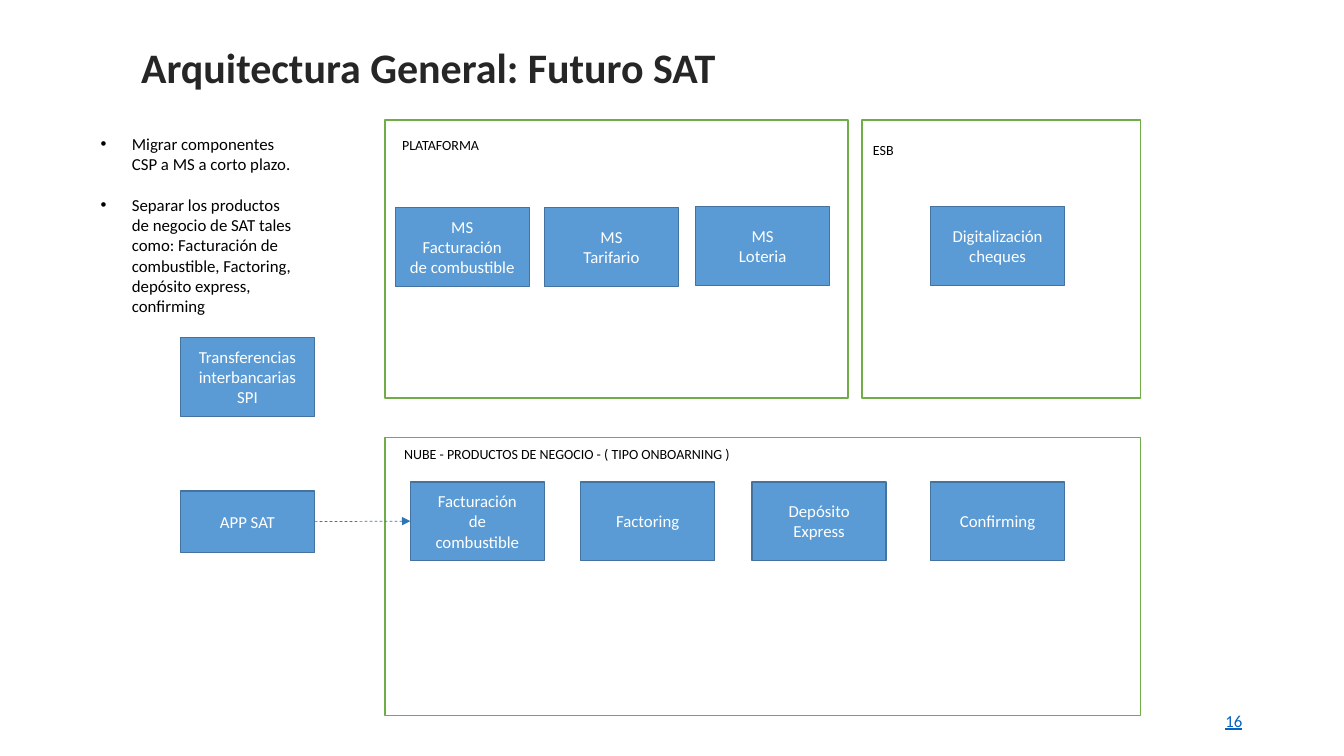
from dataclasses import dataclass

from lxml import etree
from pptx import Presentation
from pptx.dml.color import RGBColor
from pptx.enum.dml import MSO_LINE
from pptx.enum.shapes import MSO_CONNECTOR, MSO_SHAPE
from pptx.enum.text import MSO_ANCHOR, MSO_AUTO_SIZE, PP_ALIGN
from pptx.oxml.ns import qn
from pptx.shapes.autoshape import Shape
from pptx.util import Inches, Pt

RECTANGLE = MSO_SHAPE.RECTANGLE
STRAIGHT = MSO_CONNECTOR.STRAIGHT
DASH = MSO_LINE.DASH
TOP, MIDDLE = MSO_ANCHOR.TOP, MSO_ANCHOR.MIDDLE
NO_FIT = MSO_AUTO_SIZE.NONE
LEFT, CENTER, RIGHT = PP_ALIGN.LEFT, PP_ALIGN.CENTER, PP_ALIGN.RIGHT

WHITE = RGBColor(0xFF, 0xFF, 0xFF)
BLACK = RGBColor(0x00, 0x00, 0x00)
DARK_GRAY = RGBColor(0x26, 0x26, 0x26)
GREEN = RGBColor(0x70, 0xAD, 0x47)
BLUE = RGBColor(0x5B, 0x9B, 0xD5)
BLUE_EDGE = RGBColor(0x43, 0x73, 0x9E)
ARROW_BLUE = RGBColor(0x2E, 0x75, 0xB6)
LINK_BLUE = RGBColor(0x05, 0x63, 0xC1)

FONT = "Calibri"
COMPONENT_WIDTH, COMPONENT_HEIGHT = 1.33, 0.78
UPPER_ROW, LOWER_ROW = 2.05, 4.78
BULLET_INDENT = 0.31


@dataclass(frozen=True)
class Zone:
    left: float
    top: float
    width: float
    height: float = 2.76


@dataclass(frozen=True)
class Label:
    text: str
    left: float
    top: float
    width: float
    height: float = 0.27
    size: float = 10
    color: RGBColor = BLACK
    align: PP_ALIGN = LEFT
    anchor: MSO_ANCHOR = TOP
    wrap: bool = False
    underline: bool = False


@dataclass(frozen=True)
class Component:
    text: str
    left: float
    top: float
    height: float = COMPONENT_HEIGHT


ZONES = [Zone(3.82, 4.34, 7.49), Zone(3.82, 1.19, 4.59), Zone(8.55, 1.19, 2.76)]

LABELS = [
    Label("NUBE - PRODUCTOS DE NEGOCIO - ( TIPO ONBOARNING )", 3.91, 4.37, 3.5),
    Label("PLATAFORMA", 3.89, 1.31, 1),
    Label("ESB", 8.56, 1.35, 0.41),
    Label("16", 9.42, 6.95, 3, 0.4, 12, LINK_BLUE, RIGHT, MIDDLE, True, True),
]

APP = Component("APP SAT", 1.79, 4.87, 0.61)
BILLING = Component("Facturación\nde\ncombustible", 4.07, LOWER_ROW)
COMPONENTS = [
    Component("Transferencias interbancarias\nSPI", 1.79, 3.35),
    Component("MS\nFacturación\nde combustible", 3.92, UPPER_ROW + 0.01),
    Component("MS\nTarifario", 5.4, UPPER_ROW + 0.01),
    Component("MS\nLoteria", 6.9, UPPER_ROW),
    Component("Digitalización\ncheques", 9.23, UPPER_ROW),
    Component("Factoring", 5.76, LOWER_ROW),
    Component("Depósito Express", 7.46, LOWER_ROW),
    Component("Confirming", 9.23, LOWER_ROW),
]

# A vertical tab is a line break inside the bullet
BULLETS = [
    "Migrar componentes\vCSP a MS a corto plazo.",
    "Separar los productos\vde negocio de SAT tales\vcomo: Facturación de\v"
    "combustible, Factoring,\vdepósito express,\vconfirming",
]


def style_text(shape: Shape, size: float, color: RGBColor, align: PP_ALIGN,
               anchor: MSO_ANCHOR, wrap: bool) -> None:
    frame = shape.text_frame
    frame.word_wrap = wrap
    frame.auto_size = NO_FIT
    frame.vertical_anchor = anchor
    for para in frame.paragraphs:
        para.alignment = align
        para.font.name = FONT
        para.font.size = Pt(size)
        para.font.color.rgb = color


def add_rectangle(page, left: float, top: float, width: float, height: float,
                  fill: RGBColor, edge: RGBColor) -> Shape:
    box = page.shapes.add_shape(RECTANGLE, Inches(left), Inches(top),
                                Inches(width), Inches(height))
    box.shadow.inherit = False
    box.fill.solid()
    box.fill.fore_color.rgb = fill
    box.line.color.rgb = edge
    box.line.width = Pt(1)
    return box


def add_component(page, item: Component) -> Shape:
    box = add_rectangle(page, item.left, item.top, COMPONENT_WIDTH, item.height,
                        BLUE, BLUE_EDGE)
    box.text_frame.text = item.text
    style_text(box, 12, WHITE, CENTER, MIDDLE, True)
    return box


def add_label(page, label: Label) -> None:
    box = page.shapes.add_textbox(Inches(label.left), Inches(label.top),
                                  Inches(label.width), Inches(label.height))
    box.text_frame.text = label.text
    style_text(box, label.size, label.color, label.align, label.anchor, label.wrap)
    if label.underline:
        box.text_frame.paragraphs[0].font.underline = True


def add_bullets(page) -> None:
    box = page.shapes.add_textbox(Inches(0.9), Inches(1.28), Inches(2.15), Inches(1.92))
    frame = box.text_frame
    frame.text = "\n".join(BULLETS)
    for index, para in enumerate(frame.paragraphs):
        if index:
            para.space_before = Pt(14.6)
        properties = para._p.get_or_add_pPr()
        properties.set("marL", str(Inches(BULLET_INDENT)))
        properties.set("indent", str(-Inches(BULLET_INDENT)))
        etree.SubElement(properties, qn("a:buFont"), typeface="Arial")
        etree.SubElement(properties, qn("a:buChar"), char="•")
    style_text(box, 12, BLACK, LEFT, TOP, False)


def add_arrow(page, source: Shape, target: Shape) -> None:
    arrow = page.shapes.add_connector(STRAIGHT, 0, 0, 0, 0)
    arrow.begin_connect(source, 3)
    arrow.end_connect(target, 1)
    arrow.line.color.rgb = ARROW_BLUE
    arrow.line.width = Pt(0.5)
    arrow.line.dash_style = DASH
    etree.SubElement(arrow.line._get_or_add_ln(), qn("a:tailEnd"), type="triangle")
    etree.SubElement(arrow._element.spPr, qn("a:effectLst"))


def add_title(page) -> None:
    title = page.shapes.title
    title.left, title.top = Inches(1.3), Inches(0.36)
    title.width, title.height = Inches(5.95), Inches(0.61)
    title.text_frame.text = "Arquitectura General: Futuro SAT"
    style_text(title, 30, DARK_GRAY, LEFT, TOP, False)
    title.text_frame.paragraphs[0].font.bold = True


def main() -> None:
    deck = Presentation()
    deck.slide_width, deck.slide_height = Inches(13.33), Inches(7.5)
    page = deck.slides.add_slide(deck.slide_layouts[5])
    add_title(page)

    # Zones and their labels
    for zone in ZONES:
        add_rectangle(page, zone.left, zone.top, zone.width, zone.height, WHITE, GREEN)
    for label in LABELS:
        add_label(page, label)

    # Components and the call from the app
    for item in COMPONENTS:
        add_component(page, item)
    add_arrow(page, add_component(page, APP), add_component(page, BILLING))

    # Migration notes
    add_bullets(page)
    deck.save("out.pptx")


if __name__ == "__main__":
    main()
